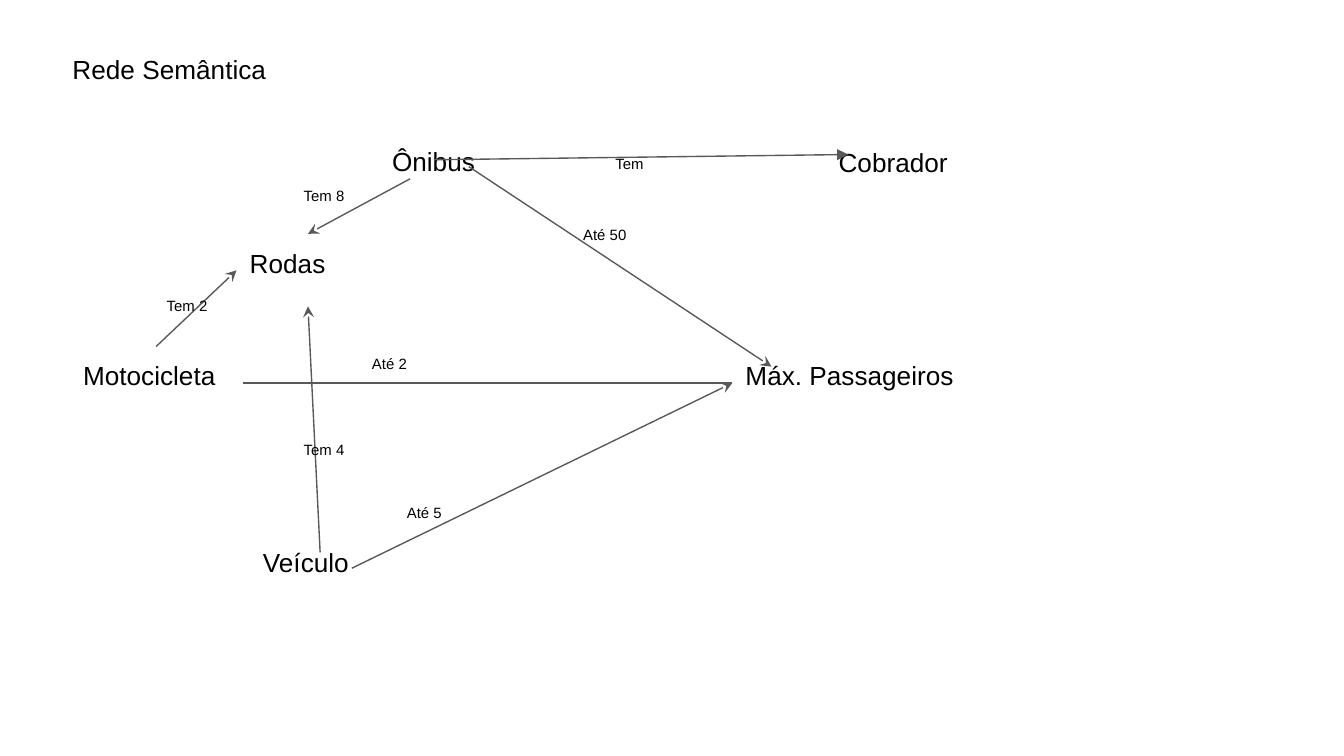
from lxml import etree
from pptx import Presentation
from pptx.dml.color import RGBColor
from pptx.enum.shapes import MSO_CONNECTOR
from pptx.enum.text import MSO_ANCHOR, MSO_AUTO_SIZE, PP_ALIGN
from pptx.oxml.ns import qn
from pptx.util import Cm, Pt

STRAIGHT = MSO_CONNECTOR.STRAIGHT
TOP = MSO_ANCHOR.TOP
LEFT = PP_ALIGN.LEFT
NO_FIT = MSO_AUTO_SIZE.NONE

COLORS = {"text": "000000", "line": "595959"}
FONT = "Arial"
WIDE, HIGH, INSET = 11.86, 1.37, 0.25

# Text, left, top, width in cm
NODES = [
    ("Rodas", 4.47, 4.42, 2.69),
    ("Máx. Passageiros", 13.84, 6.55, 4.65),
    ("Motocicleta", 1.32, 6.55, 3.28),
    ("Ônibus", 7.16, 2.49, WIDE),
    ("Veículo", 4.72, 10.08, 2.44),
    ("Cobrador", 15.6, 2.51, WIDE),
]

# Start, end in cm, arrowhead
LINKS = [
    ((8.86, 3.15), (14.58, 6.93), "stealth"),
    ((7.75, 3.38), (5.82, 4.42), "stealth"),
    ((2.95, 6.55), (4.47, 5.11), "stealth"),
    ((6.05, 10.44), (5.82, 5.79), "stealth"),
    ((6.65, 10.74), (13.84, 7.24), "stealth"),
    ((4.6, 7.24), (13.84, 7.24), None),
    ((8.2, 3.02), (16.03, 2.92), "triangle"),
]

# Text, left, top in cm
LABELS = [
    ("Até 50", 10.77, 4.01),
    ("Até 2", 6.78, 6.45),
    ("Até 5", 7.44, 9.27),
    ("Tem 4", 5.49, 8.08),
    ("Tem 2", 2.9, 5.36),
    ("Tem 8", 5.49, 3.28),
    ("Tem", 11.38, 2.67),
]


def put_text(shape, text, size=14, color="text"):
    frame = shape.text_frame
    frame.word_wrap = True
    frame.auto_size = NO_FIT
    frame.vertical_anchor = TOP
    frame.margin_left = frame.margin_right = Cm(INSET)
    frame.margin_top = frame.margin_bottom = Cm(INSET)
    para = frame.paragraphs[0]
    para.alignment = LEFT
    para.line_spacing = 1.0
    para.space_before = Pt(0)
    run = para.add_run()
    run.text = text
    run.font.name = FONT
    run.font.size = Pt(size)
    run.font.color.rgb = RGBColor.from_string(COLORS[color])


def add_title(slide, text):
    title = slide.shapes.title
    title.left, title.top = Cm(1.12), Cm(0.76)
    title.width, title.height = Cm(WIDE), Cm(HIGH)
    put_text(title, text)


def add_text(slide, text, left, top, width=WIDE, **form):
    box = slide.shapes.add_textbox(Cm(left), Cm(top), Cm(width), Cm(HIGH))
    put_text(box, text, **form)


def add_link(slide, start, end, head):
    ends = [Cm(value) for value in start + end]
    link = slide.shapes.add_connector(STRAIGHT, *ends)
    link.line.width = Pt(0.75)
    link.line.color.rgb = RGBColor.from_string(COLORS["line"])
    if head:
        line = link.line._get_or_add_ln()
        etree.SubElement(line, qn("a:tailEnd"), type=head)
    etree.SubElement(link._element.spPr, qn("a:effectLst"))


def main():
    deck = Presentation()
    deck.slide_width, deck.slide_height = Cm(25.4), Cm(14.29)
    slide = deck.slides.add_slide(deck.slide_layouts.get_by_name("Title Only"))
    add_title(slide, "Rede Semântica")
    for node in NODES:
        add_text(slide, *node)
    for link in LINKS:
        add_link(slide, *link)
    for label in LABELS:
        add_text(slide, *label, size=8)
    deck.save("out.pptx")


if __name__ == "__main__":
    main()
